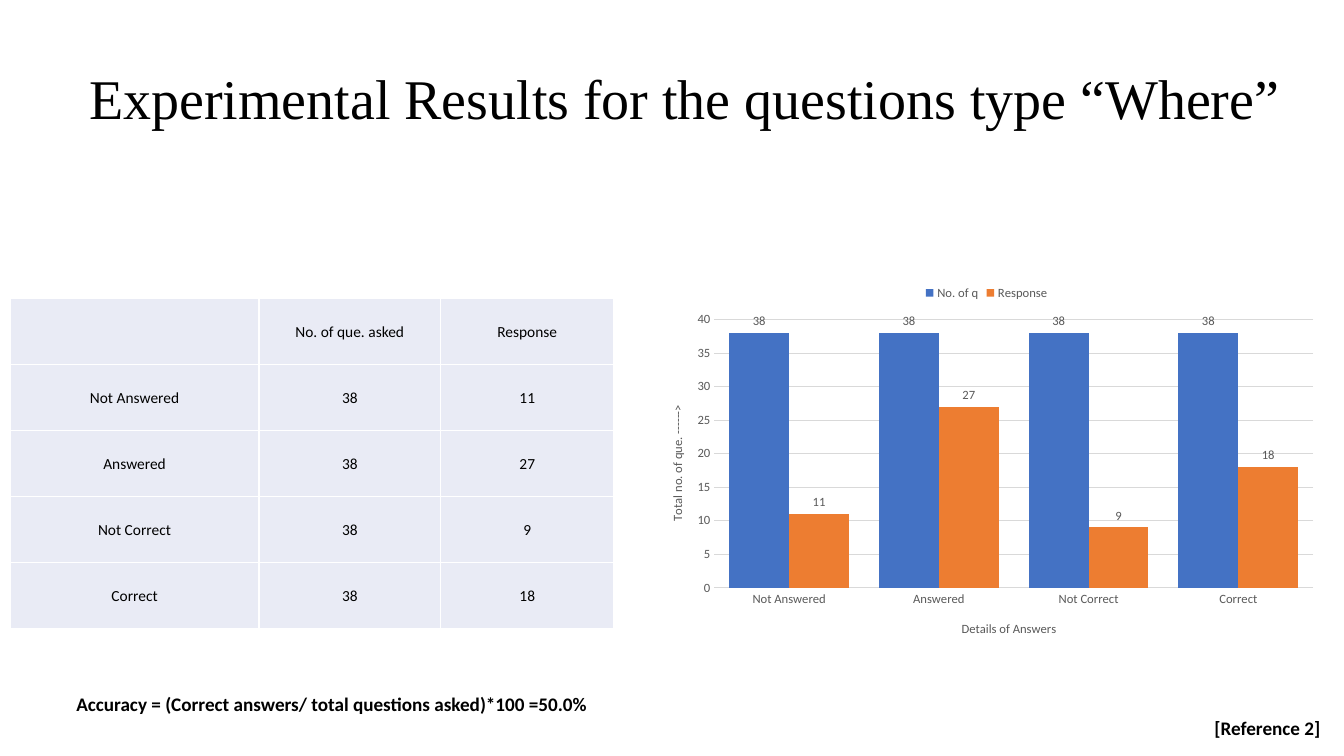
from dataclasses import dataclass
from lxml import etree
from pptx import Presentation
from pptx.chart.data import CategoryChartData
from pptx.dml.color import RGBColor
from pptx.enum.chart import XL_CHART_TYPE, XL_LABEL_POSITION, XL_LEGEND_POSITION, XL_TICK_MARK
from pptx.enum.text import MSO_ANCHOR, PP_ALIGN
from pptx.oxml import parse_xml
from pptx.oxml.ns import nsdecls, qn
from pptx.util import Emu, Pt

COLUMN = XL_CHART_TYPE.COLUMN_CLUSTERED
OUTSIDE = XL_LABEL_POSITION.OUTSIDE_END
TOP = XL_LEGEND_POSITION.TOP
NO_TICK = XL_TICK_MARK.NONE
MIDDLE = MSO_ANCHOR.MIDDLE
CENTER = PP_ALIGN.CENTER
SCALE = 9144


@dataclass(frozen=True)
class Theme:
    ink: str = "000000"
    gray: str = "595959"
    rule: str = "D9D9D9"
    cell: str = "E9EBF5"
    edge: str = "FFFFFF"
    blue: str = "4472C4"
    orange: str = "ED7D31"
    serif: str = "Times New Roman"
    sans: str = "Calibri"
    title: float = 40
    note: float = 13.7
    table: float = 11
    chart: float = 9


@dataclass(frozen=True)
class Box:
    left: int
    top: int
    width: int
    height: int

    def emu(self) -> tuple:
        return tuple(px(n) for n in (self.left, self.top, self.width, self.height))


@dataclass(frozen=True)
class Note:
    text: str
    box: Box


@dataclass(frozen=True)
class Series:
    name: str
    head: str
    values: tuple
    color: str


THEME = Theme()
TITLE = Note("Experimental Results for the questions type “Where”", Box(43, 28, 1272, 145))
NOTES = (
    Note("Accuracy = (Correct answers/ total questions asked)*100 =50.0%", Box(9, 676, 640, 45)),
    Note("[Reference 2]", Box(1185, 700, 144, 45)),
)
GROUPS = ("Not Answered", "Answered", "Not Correct", "Correct")
SERIES = (
    Series("No. of q", "No. of que. asked", (38, 38, 38, 38), THEME.blue),
    Series("Response", "Response", (11, 27, 9, 18), THEME.orange),
)
GRID = Box(10, 296, 599, 328)
WIDTHS = (247, 180, 172)
CHART = Box(641, 272, 675, 375)


def px(count: int) -> Emu:
    return Emu(count * SCALE)


def rgb(color: str) -> RGBColor:
    return RGBColor.from_string(color)


def style(font, size: float, color: str, face: str = THEME.sans, bold: bool = False) -> None:
    font.size = Pt(size)
    font.name = face
    font.bold = bold
    font.color.rgb = rgb(color)


def write(frame, text: str, *, size: float, color: str = THEME.ink,
          face: str = THEME.sans, bold: bool = False, space: float = 1.0) -> None:
    par = frame.paragraphs[0]
    par.alignment = CENTER
    par.line_spacing = space
    run = par.add_run()
    run.text = text
    style(run.font, size, color, face, bold)


def add_title(slide, note: Note) -> None:
    shape = slide.shapes.title
    shape.left, shape.top, shape.width, shape.height = note.box.emu()
    frame = shape.text_frame
    frame.word_wrap = True
    frame.vertical_anchor = MIDDLE
    write(frame, note.text, size=THEME.title, face=THEME.serif, space=0.9)


def add_note(slide, note: Note) -> None:
    frame = slide.shapes.add_textbox(*note.box.emu()).text_frame
    frame.word_wrap = True
    frame.vertical_anchor = MIDDLE
    write(frame, note.text, size=THEME.note, bold=True)


def edge_cell(cell) -> None:
    props = cell._tc.get_or_add_tcPr()
    for place, side in enumerate(("lnL", "lnR", "lnT", "lnB")):
        props.insert(place, parse_xml(
            f'<a:{side} {nsdecls("a")} w="12700"><a:solidFill>'
            f'<a:srgbClr val="{THEME.edge}"/></a:solidFill></a:{side}>'))


def add_grid(slide) -> None:
    rows = [("", *(s.head for s in SERIES))]
    rows += [(g, *map(str, vals)) for g, *vals in zip(GROUPS, *(s.values for s in SERIES))]
    table = slide.shapes.add_table(len(rows), len(WIDTHS), *GRID.emu()).table
    table.first_row = table.horz_banding = False
    for col, width in zip(table.columns, WIDTHS):
        col.width = px(width)
    for r, row in enumerate(rows):
        for c, text in enumerate(row):
            cell = table.cell(r, c)
            cell.margin_left = cell.margin_right = cell.margin_top = px(1)
            cell.margin_bottom = 0
            cell.vertical_anchor = MIDDLE
            cell.fill.solid()
            cell.fill.fore_color.rgb = rgb(THEME.cell)
            edge_cell(cell)
            if text:
                write(cell.text_frame, text, size=THEME.table)


def place(node, **spots: float) -> None:
    for old in node.findall(qn("c:layout")):
        node.remove(old)
    layout = etree.Element(qn("c:layout"))
    manual = etree.SubElement(layout, qn("c:manualLayout"))
    if "w" in spots:
        etree.SubElement(manual, qn("c:layoutTarget"), val="inner")
    for key in ("x", "y"):
        etree.SubElement(manual, qn(f"c:{key}Mode"), val="edge")
    for key, value in spots.items():
        etree.SubElement(manual, qn(f"c:{key}"), val=str(value))
    text = node.find(qn("c:tx"))
    node.insert(0 if text is None else 1, layout)


def set_axis(axis, title: str, x: float, y: float) -> None:
    axis.major_tick_mark = axis.minor_tick_mark = NO_TICK
    style(axis.tick_labels.font, THEME.chart, THEME.gray)
    write(axis.axis_title.text_frame, title, size=THEME.chart, color=THEME.gray)
    place(axis.axis_title._element, x=x, y=y)


def rule(line) -> None:
    line.color.rgb = rgb(THEME.rule)
    line.width = Pt(0.75)


def add_bars(slide) -> None:
    data = CategoryChartData()
    data.categories = GROUPS
    for item in SERIES:
        data.add_series(item.name, item.values)
    chart = slide.shapes.add_chart(COLUMN, *CHART.emu(), data).chart
    style(chart.font, THEME.chart, THEME.gray)
    chart.has_title = False
    chart.has_legend = True
    chart.legend.position = TOP
    chart.legend.include_in_layout = False
    style(chart.legend.font, THEME.chart, THEME.gray)
    set_axis(chart.category_axis, "Details of Answers", 0.46, 0.91)
    rule(chart.category_axis.format.line)
    scale = chart.value_axis
    set_axis(scale, "Total no. of que. ------>", 0.03, 0.34)
    scale.minimum_scale, scale.maximum_scale, scale.major_unit = 0, 40, 5
    scale.format.line.fill.background()
    rule(scale.major_gridlines.format.line)
    plot = chart.plots[0]
    plot.gap_width, plot.overlap = 50, 0
    plot.vary_by_categories = False
    for bars, item in zip(plot.series, SERIES):
        bars.format.fill.solid()
        bars.format.fill.fore_color.rgb = rgb(item.color)
        labels = bars.data_labels
        labels.show_value = True
        labels.position = OUTSIDE
        style(labels.font, THEME.chart, THEME.gray)
    place(chart._chartSpace.chart.plotArea, x=0.1, y=0.12, w=0.88, h=0.71)


def main() -> None:
    deck = Presentation()
    deck.slide_width, deck.slide_height = px(1333), px(750)
    slide = deck.slides.add_slide(deck.slide_layouts[5])
    add_bars(slide)
    add_title(slide, TITLE)
    add_grid(slide)
    for note in NOTES:
        add_note(slide, note)
    deck.save("out.pptx")


if __name__ == "__main__":
    main()
